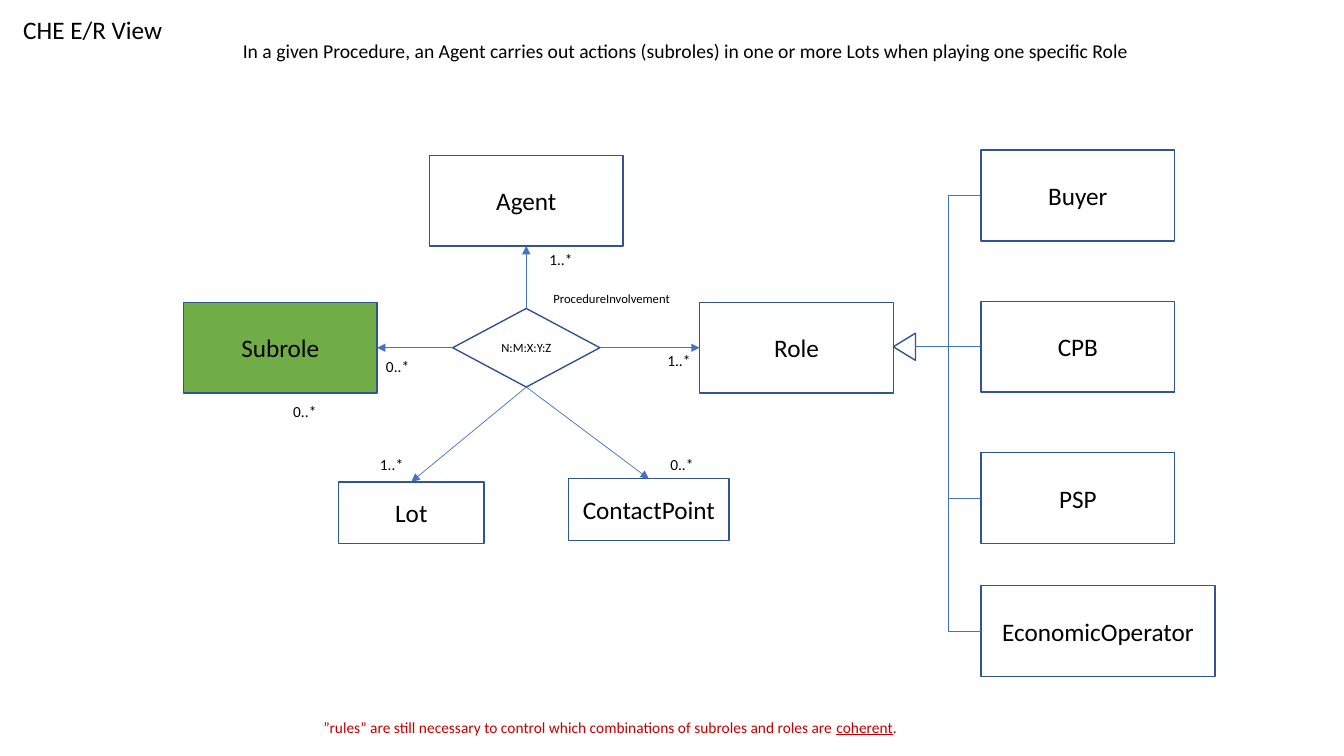
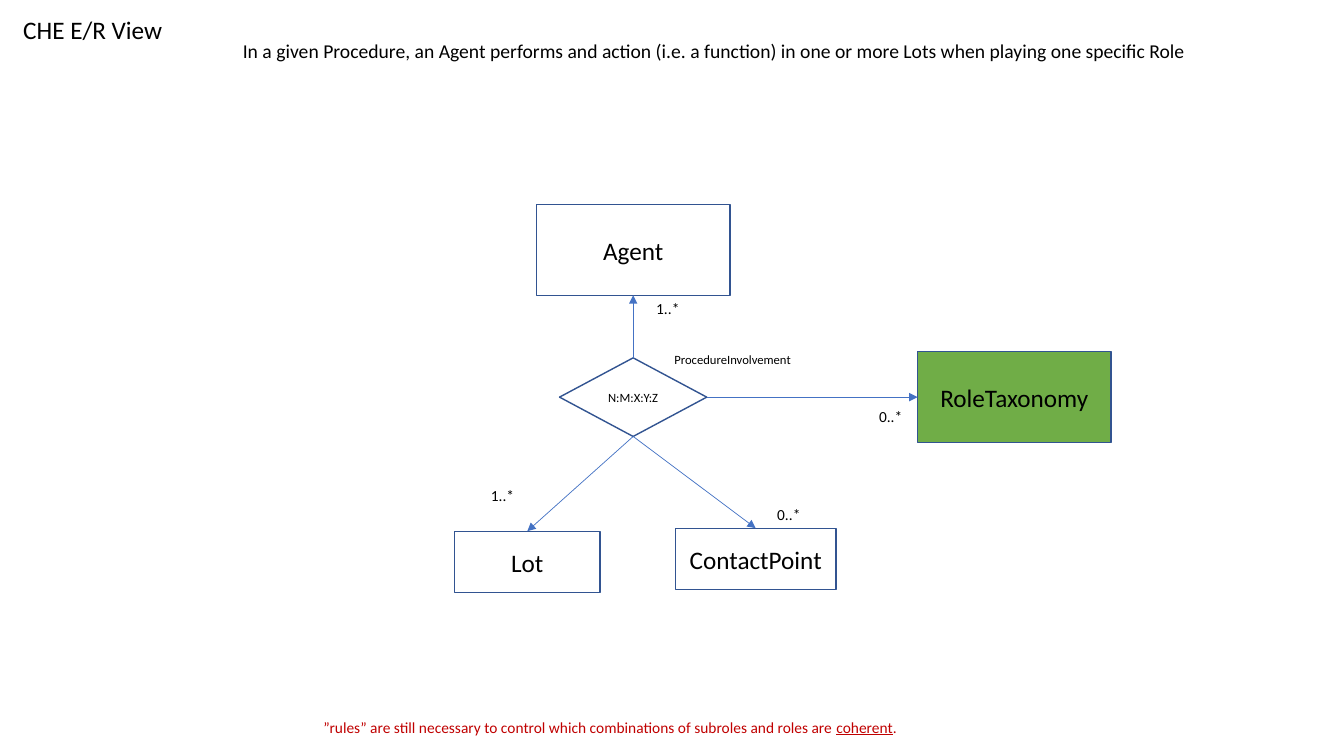
import dataclasses

import lxml.etree
import pptx
import pptx.dml.color
import pptx.enum.shapes
import pptx.enum.text
import pptx.oxml.ns
import pptx.presentation
import pptx.shapes.autoshape
import pptx.shapes.base
import pptx.shapes.connector
import pptx.slide
import pptx.text.text
import pptx.util

Inches = pptx.util.Inches
RGBColor = pptx.dml.color.RGBColor
SHAPES = pptx.enum.shapes.MSO_SHAPE
CONNECTORS = pptx.enum.shapes.MSO_CONNECTOR
ALIGN = pptx.enum.text.PP_ALIGN
ANCHOR = pptx.enum.text.MSO_ANCHOR
AUTO_SIZE = pptx.enum.text.MSO_AUTO_SIZE

BLACK = RGBColor(0x00, 0x00, 0x00)
OUTLINE = RGBColor(0x32, 0x54, 0x91)
LINK_BLUE = RGBColor(0x44, 0x72, 0xC4)
GREEN = RGBColor(0x70, 0xAD, 0x47)
RED = RGBColor(0xC0, 0x00, 0x00)
FONT = "Calibri"

TOP, LEFT, BOTTOM, RIGHT = range(4)
ENTITY_WIDTH, ENTITY_HEIGHT = 1.92, 0.9
SMALL_HEIGHT = 0.61
DIAMOND_WIDTH, DIAMOND_HEIGHT = 1.46, 0.78


@dataclasses.dataclass(frozen=True)
class Entity:
    name: str
    left: float
    top: float
    width: float = ENTITY_WIDTH
    height: float = ENTITY_HEIGHT
    fill: RGBColor | None = None
    geometry: SHAPES = SHAPES.RECTANGLE
    size: float = 18


@dataclasses.dataclass(frozen=True)
class Label:
    text: str
    left: float
    top: float
    width: float = 0.44
    height: float = 0.29
    size: float = 11


ROLES = (
    Entity("Buyer", 9.73, 1.49),
    Entity("CPB", 9.73, 2.99),
    Entity("PSP", 9.73, 4.49),
    Entity("EconomicOperator", 9.73, 5.81, width=2.32),
)


def format_runs(frame: pptx.text.text.TextFrame, size: float, color: RGBColor) -> None:
    for para in frame.paragraphs:
        for span in para.runs:
            span.font.name = FONT
            span.font.size = pptx.util.Pt(size)
            span.font.color.rgb = color


def outline(shape: pptx.shapes.autoshape.Shape, fill: RGBColor | None) -> None:
    shape.shadow.inherit = False
    if fill is None:
        shape.fill.background()
    else:
        shape.fill.solid()
        shape.fill.fore_color.rgb = fill
    shape.line.color.rgb = OUTLINE
    shape.line.width = pptx.util.Pt(1)


def add_entity(slide: pptx.slide.Slide, entity: Entity) -> pptx.shapes.autoshape.Shape:
    box = slide.shapes.add_shape(
        entity.geometry, Inches(entity.left), Inches(entity.top),
        Inches(entity.width), Inches(entity.height))
    outline(box, entity.fill)
    frame = box.text_frame
    frame.text = entity.name
    frame.vertical_anchor = ANCHOR.MIDDLE
    frame.paragraphs[0].alignment = ALIGN.CENTER
    format_runs(frame, entity.size, BLACK)
    return box


def add_label(slide: pptx.slide.Slide, label: Label,
              color: RGBColor = BLACK) -> pptx.text.text.TextFrame:
    box = slide.shapes.add_textbox(
        Inches(label.left), Inches(label.top), Inches(label.width), Inches(label.height))
    frame = box.text_frame
    frame.word_wrap = False
    frame.auto_size = AUTO_SIZE.SHAPE_TO_FIT_TEXT
    frame.text = label.text
    format_runs(frame, label.size, color)
    return frame


def style_link(link: pptx.shapes.connector.Connector, arrow: bool) -> None:
    link.line.color.rgb = LINK_BLUE
    link.line.width = pptx.util.Pt(0.5)
    qn = pptx.oxml.ns.qn
    if arrow:
        line = link.line._get_or_add_ln()
        lxml.etree.SubElement(line, qn("a:tailEnd"), type="triangle")
    properties = link._element.spPr
    lxml.etree.SubElement(properties, qn("a:effectLst"))


def add_arrow(slide: pptx.slide.Slide, source: pptx.shapes.base.BaseShape, source_side: int,
              target: pptx.shapes.base.BaseShape, target_side: int) -> None:
    link = slide.shapes.add_connector(CONNECTORS.STRAIGHT, 0, 0, 0, 0)
    link.begin_connect(source, source_side)
    link.end_connect(target, target_side)
    style_link(link, arrow=True)


def add_involvement(slide: pptx.slide.Slide, center_x: float, center_y: float,
                    lot_left: float) -> pptx.shapes.autoshape.Shape:
    """Draw the relationship with its Agent, Lot and ContactPoint; return the diamond."""
    diamond = add_entity(slide, Entity(
        "N:M:X:Y:Z", center_x - DIAMOND_WIDTH / 2, center_y - DIAMOND_HEIGHT / 2,
        DIAMOND_WIDTH, DIAMOND_HEIGHT, geometry=SHAPES.DIAMOND, size=9))
    agent = add_entity(slide, Entity("Agent", center_x - ENTITY_WIDTH / 2, center_y - 1.91))
    lot = add_entity(slide, Entity("Lot", lot_left, center_y + 1.33, 1.44, SMALL_HEIGHT))
    contact = add_entity(slide, Entity(
        "ContactPoint", center_x + 0.42, center_y + 1.3, 1.59, SMALL_HEIGHT))
    add_arrow(slide, diamond, TOP, agent, BOTTOM)
    add_arrow(slide, diamond, BOTTOM, lot, TOP)
    add_arrow(slide, diamond, BOTTOM, contact, TOP)
    add_label(slide, Label("1..*", center_x + 0.13, center_y - 1.02))
    add_label(slide, Label("0..*", center_x + 1.33, center_y + 1.02))
    return diamond


def add_role_hierarchy(slide: pptx.slide.Slide) -> None:
    """Draw the generalisation triangle and the kinds of role that join it."""
    width, height = 0.27, 0.22
    center_x, center_y = 8.97, 3.44
    triangle = slide.shapes.add_shape(
        SHAPES.ISOSCELES_TRIANGLE, Inches(center_x - width / 2), Inches(center_y - height / 2),
        Inches(width), Inches(height))
    triangle.rotation = 270
    outline(triangle, None)
    start_x, start_y = Inches(center_x + height / 2), Inches(center_y)
    for role in ROLES:
        box = add_entity(slide, role)
        link = slide.shapes.add_connector(
            CONNECTORS.ELBOW, start_x, start_y, Inches(role.left), start_y)
        link.end_connect(box, LEFT)
        style_link(link, arrow=False)


def add_view(deck: pptx.presentation.Presentation, statement: str,
             statement_width: float) -> pptx.slide.Slide:
    """Add a slide with the shared title, its statement and the closing rule note."""
    slide = deck.slides.add_slide(deck.slide_layouts.get_by_name("Title Only"))
    title = slide.shapes.title
    title.left, title.top = Inches(0.13), Inches(0.09)
    title.width, title.height = Inches(1.6), Inches(0.4)
    frame = title.text_frame
    frame.text = "CHE E/R View"
    frame.word_wrap = False
    frame.auto_size = AUTO_SIZE.SHAPE_TO_FIT_TEXT
    frame.vertical_anchor = ANCHOR.TOP
    frame.paragraphs[0].alignment = ALIGN.LEFT
    format_runs(frame, 18, BLACK)

    add_label(slide, Label(statement, 2.31, 0.34, statement_width, 0.34, 14))
    note = add_label(slide, Label(
        "”rules” are still necessary to control which combinations of subroles and roles are ",
        3.11, 7.07, 5.93), RED)
    para = note.paragraphs[0]
    for text, underlined in (("coherent", True), (".", False)):
        span = para.add_run()
        span.text = text
        span.font.underline = underlined
    format_runs(note, 11, RED)
    return slide


def add_subrole_view(deck: pptx.presentation.Presentation) -> None:
    slide = add_view(
        deck,
        "In a given Procedure, an Agent carries out actions (subroles) in one or more Lots "
        "when playing one specific Role", 9.07)
    diamond = add_involvement(slide, 5.22, 3.45, lot_left=3.36)
    role = add_entity(slide, Entity("Role", 6.94, 3))
    subrole = add_entity(slide, Entity("Subrole", 1.82, 3, fill=GREEN))
    add_arrow(slide, diamond, RIGHT, role, LEFT)
    add_arrow(slide, diamond, LEFT, subrole, RIGHT)
    add_role_hierarchy(slide)
    for label in (
        Label("1..*", 3.67, 4.47),
        Label("1..*", 6.52, 3.43),
        Label("0..*", 3.73, 3.49),
        Label("0..*", 2.81, 3.94),
        Label("ProcedureInvolvement", 5.39, 2.84, 1.38, 0.25, 9),
    ):
        add_label(slide, label)


def add_taxonomy_view(deck: pptx.presentation.Presentation) -> None:
    slide = add_view(
        deck,
        "In a given Procedure, an Agent performs and action (i.e. a function) in one or more "
        "Lots when playing one specific Role", 9.85)
    diamond = add_involvement(slide, 6.28, 3.94, lot_left=4.51)
    taxonomy = add_entity(slide, Entity("RoleTaxonomy", 9.1, 3.49, fill=GREEN))
    add_arrow(slide, diamond, RIGHT, taxonomy, LEFT)
    for label in (
        Label("1..*", 4.77, 4.77),
        Label("0..*", 8.62, 3.99),
        Label("ProcedureInvolvement", 6.59, 3.44, 1.38, 0.25, 9),
    ):
        add_label(slide, label)


def main() -> None:
    deck = pptx.Presentation()
    deck.slide_width, deck.slide_height = Inches(13.33), Inches(7.5)
    add_subrole_view(deck)
    add_taxonomy_view(deck)
    deck.save("out.pptx")


if __name__ == "__main__":
    main()
